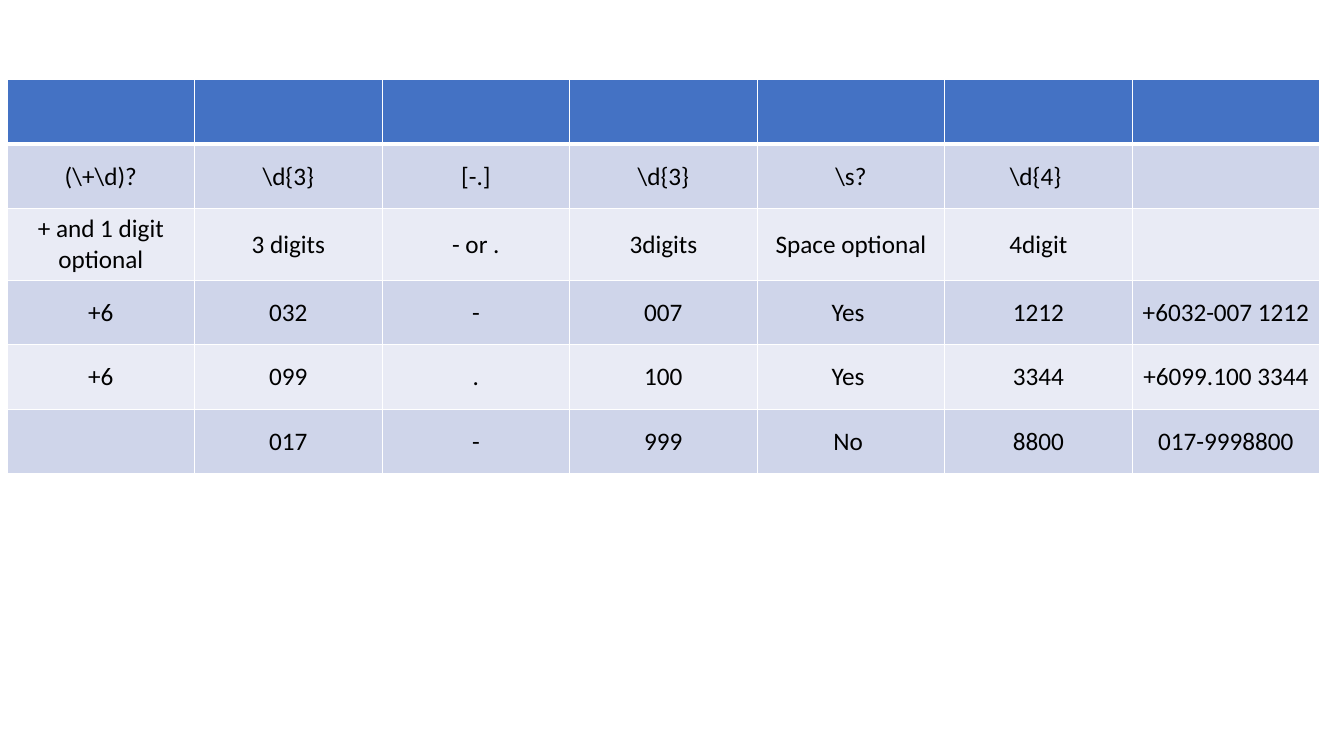
from lxml import etree
from pptx import Presentation
from pptx import util as u
from pptx.dml.color import RGBColor
from pptx.enum import text
from pptx.oxml import ns

PATTERN_ROWS = [
    [""] * 7,
    [r"(\+\d)?", r"\d{3}", "[-.]", r"\d{3}", r"\s?", r"\d{4} ", ""],
    ["+ and 1 digit optional", "3 digits", "- or .", "3digits", "Space optional", "4digit", ""],
    ["+6", "032", "-", "007", "Yes ", "1212", "+6032-007 1212"],
    ["+6", "099", ".", "100", "Yes ", "3344", "+6099.100 3344"],
    ["", "017", "-", "999", "No ", "8800", "017-9998800"],
]
HEADER_FILL, BAND_FILLS = "4472C4", ("E9EBF5", "CFD5EA")
BORDER, INK = "FFFFFF", "000000"


def color(value):
    """Turn a hex string into a colour."""
    return RGBColor.from_string(value)


def set_borders(cell, widths):
    """Draw the left, right, top and bottom borders in the given point widths."""
    properties = cell._tc.get_or_add_tcPr()
    for position, (side, width) in enumerate(zip("LRTB", widths)):
        border = etree.Element(ns.qn(f"a:ln{side}"), w=str(u.Pt(width)))
        fill = etree.SubElement(border, ns.qn("a:solidFill"))
        etree.SubElement(fill, ns.qn("a:srgbClr"), val=BORDER)
        properties.insert(position, border)


def fill_cell(cell, wording, background):
    """Write centred wording on a plain background."""
    cell.fill.solid()
    cell.fill.fore_color.rgb = color(background)
    cell.vertical_anchor = text.MSO_ANCHOR.MIDDLE
    cell.text_frame.text = wording
    paragraph = cell.text_frame.paragraphs[0]
    paragraph.alignment = text.PP_ALIGN.CENTER
    for run in paragraph.runs:
        run.font.name = "Calibri"
        run.font.size = u.Pt(18)
        run.font.bold = False
        run.font.color.rgb = color(INK)


def add_pattern_table(slide):
    """Add the table that explains the phone number pattern."""
    row_count, column_count = len(PATTERN_ROWS), len(PATTERN_ROWS[0])
    column_width, row_height = u.Inches(1.86), u.Inches(0.64)
    table = slide.shapes.add_table(
        row_count, column_count, u.Inches(0.07), u.Inches(0.79),
        column_width * column_count, row_height * row_count).table
    for column in table.columns:
        column.width = column_width
    for index, wordings in enumerate(PATTERN_ROWS):
        table.rows[index].height = row_height
        background = BAND_FILLS[index % 2] if index else HEADER_FILL
        widths = (1, 1, 3 if index == 1 else 1, 3 if index == 0 else 1)
        for cell, wording in zip(table.rows[index].cells, wordings):
            fill_cell(cell, wording, background)
            set_borders(cell, widths)


def main():
    """Build and save the slide."""
    deck = Presentation()
    deck.slide_width, deck.slide_height = u.Inches(13.33), u.Inches(7.5)
    slide = deck.slides.add_slide(deck.slide_layouts[6])
    add_pattern_table(slide)
    deck.save("out.pptx")


if __name__ == "__main__":
    main()
